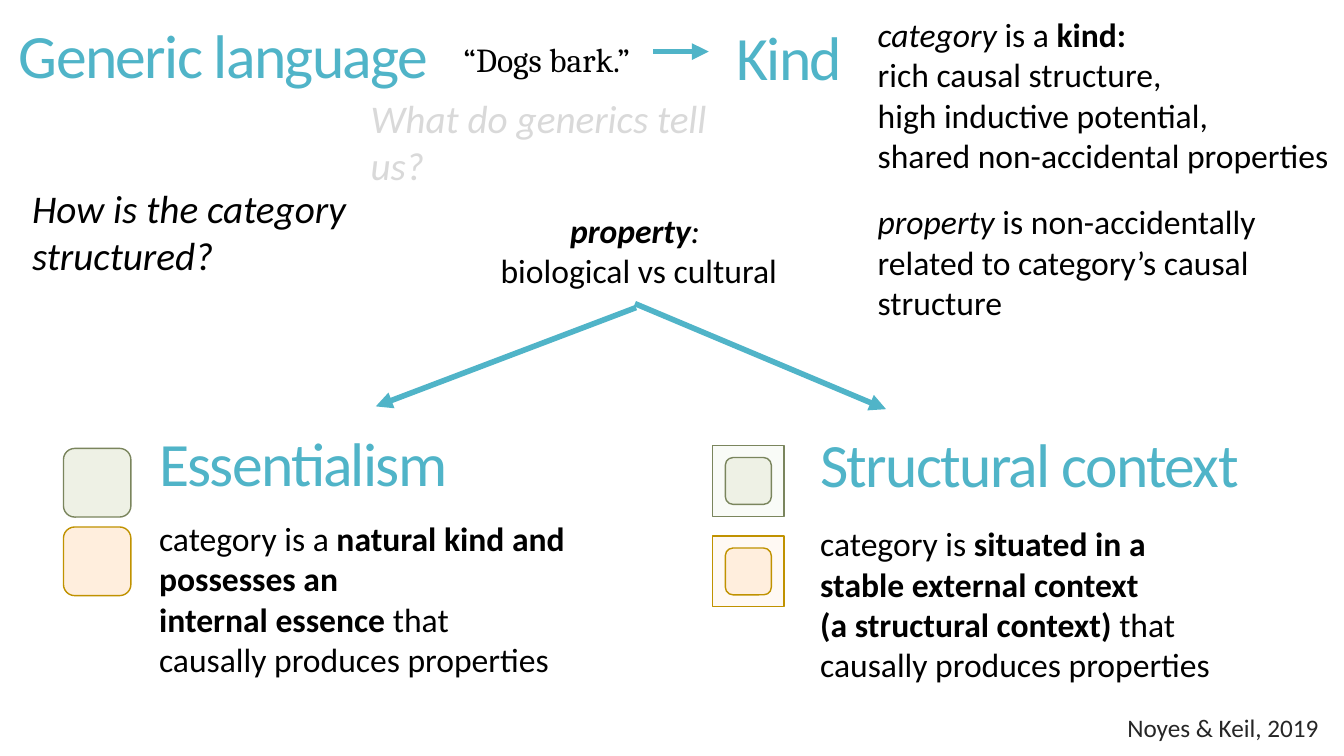
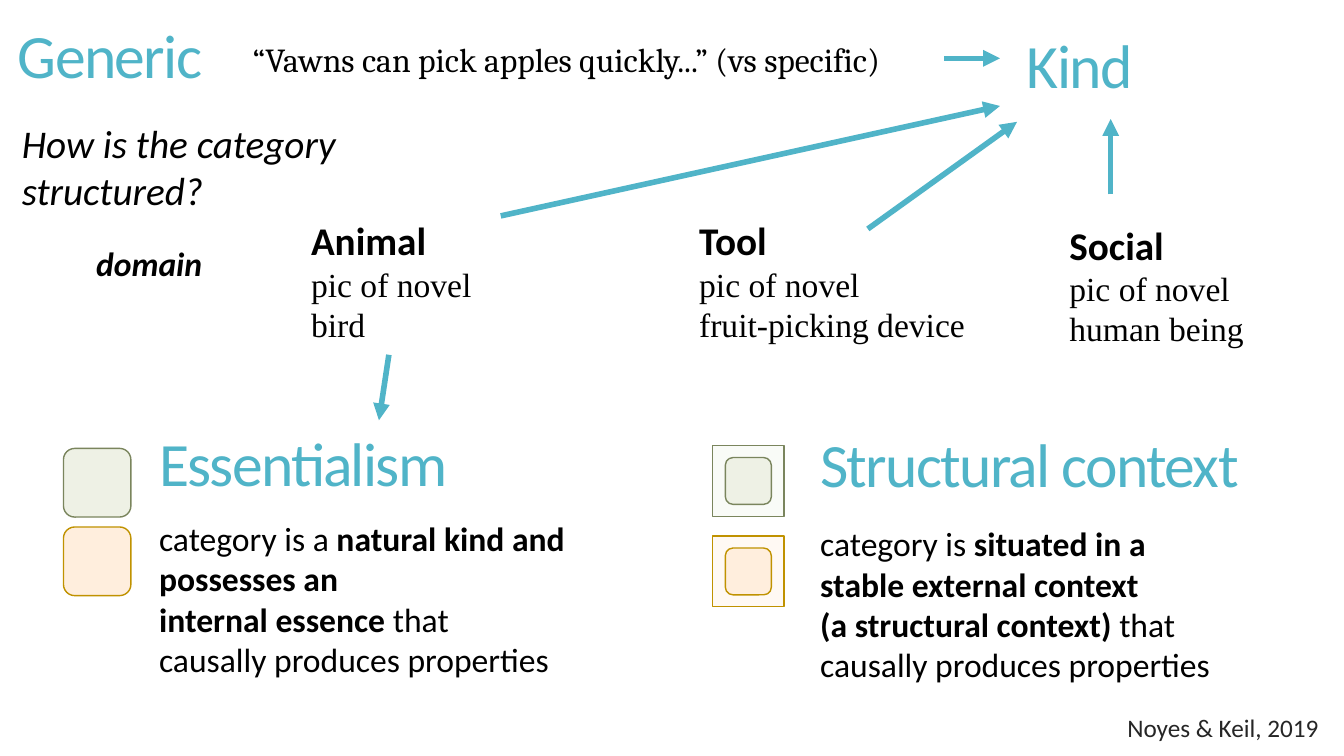
from lxml.etree import SubElement
from pptx import Presentation
from pptx.dml.color import RGBColor
from pptx.enum.shapes import MSO_CONNECTOR, MSO_SHAPE
from pptx.enum.text import MSO_ANCHOR, PP_ALIGN
from pptx.oxml.ns import qn
from pptx.util import Cm, Pt

COLORS = {
    "heading": "50B4C8", "text": "000000", "footer": "262626", "faded": "D9D9D9",
    "green": "EEF1E5", "green frame": "F9FBF7", "green line": "7A855D",
    "orange": "FFEEDD", "orange frame": "FFF9F3", "orange line": "C09200",
}

# Text styles: size in points, font, colour
STYLES = {
    "heading": (44, "Calibri", "heading"),
    "question": (28, "Calibri", "text"),
    "faded": (28, "Calibri", "faded"),
    "body": (24, "Calibri", "text"),
    "example": (24, "Cambria", "text"),
    "sketch": (24, "Times New Roman", "text"),
    "footer": (18, "Calibri", "footer"),
}

# A paragraph is (style, [(words, emphasis), ...]); emphasis is "b", "i" or both.
# A text is (left, top, width, height, paragraphs, alignment), in centimetres.
# A heading is (left, top, width, height, words, alignment).
QUESTION = [("question", [("How is the category structured?", "i")])]

SHARED = {
    "headings": [
        (3.76, 10.64, 8.99, 2.29, "Essentialism", "left"),
        (20.42, 10.67, 12.55, 2.26, "Structural context", "left"),
    ],
    "texts": [
        (3.76, 12.93, 10.95, 4.37, [("body", [
            ("category is a ", ""),
            ("natural kind and possesses an\ninternal essence ", "b"),
            ("that\ncausally produces properties", "")])], "left"),
        (20.42, 13.06, 10.95, 4.37, [("body", [
            ("category is ", ""),
            ("situated in a stable external context\n(a structural context)", "b"),
            (" that causally produces properties", "")])], "left"),
    ],
    "arrows": [],
}
FOOTER = (15.24, 17.93, 18.24, 1.09, [("footer", [("Noyes & Keil, 2019", "")])], "right")

# Colour, top of the single tile, top of the framed tile
TILES = [("green", 11.3, 11.23), ("orange", 13.28, 13.51)]
TILE_LEFT, TILE_SIZE = 1.6, (1.7, 1.73)
FRAME_LEFT, FRAME_SIZE = 17.96, (1.8, 1.78)
CORE_SIZE = (1.16, 1.18)

KIND_SLIDE = {
    "headings": [
        (0.2, -1.02, 10.87, 5.03, "Generic language", "center"),
        (18.31, 0.41, 4.7, 2.29, "Kind", "left"),
    ],
    "texts": [
        (11.43, 0.86, 4.95, 1.27, [("example", [("“Dogs bark.”", "")])], "left"),
        (9.09, 2.26, 10.08, 1.45, [("faded", [("What do generics tell us?", "i")])], "left"),
        (0.56, 4.52, 12.7, 1.45, QUESTION, "left"),
        (21.87, 0.23, 12.7, 4.37, [
            ("body", [("category", "i"), (" is a ", ""), ("kind:", "b")]),
            ("body", [("rich causal structure,\nhigh inductive potential,\n"
                       "shared non-accidental properties", "")])], "left"),
        (21.87, 4.95, 10.06, 3.33, [("body", [
            ("property ", "i"),
            ("is non-accidentally related to category’s causal structure", "")])], "left"),
        (11.07, 5.16, 10.06, 2.31, [
            ("body", [("property", "bi"), (": ", "i")]),
            ("body", [("biological vs cultural", "")])], "center"),
    ],
    "arrows": [
        (16.46, 1.3, 17.86, 1.3),
        (16, 7.65, 22.33, 10.31),
        (16.03, 7.75, 9.47, 10.24),
    ],
}


def domain(name, sketch):
    return [("question", [(name, "b")]), ("sketch", [(sketch, "")])]


DOMAIN_SLIDE = {
    "headings": [
        (0.2, -1.02, 10.87, 5.03, "Generic", "left"),
        (25.63, 0.61, 4.7, 2.29, "Kind", "left"),
    ],
    "texts": [
        (6.12, 0.86, 17.32, 1.27, [("example", [
            ("“Vawns can pick apples quickly...” (vs specific)", "")])], "left"),
        (0.3, 2.87, 12.7, 1.45, QUESTION, "left"),
        (-1.27, 5.99, 10.06, 1.27, [("body", [("domain", "bi")])], "center"),
        (7.59, 5.33, 5.16, 3.51, domain("Animal", "pic of novel bird"), "left"),
        (17.37, 5.33, 7.85, 3.51,
         domain("Tool", "pic of novel\nfruit-picking device"), "left"),
        (26.7, 5.44, 6.27, 3.51, domain("Social", "pic of novel human being"), "left"),
    ],
    "arrows": [
        (23.8, 1.47, 25.2, 1.47),
        (12.62, 5.44, 25.2, 2.67),
        (21.87, 5.77, 25.63, 3.07),
        (9.8, 8.94, 9.55, 10.59),
        (27.99, 4.9, 27.99, 3),
    ],
}

ALIGNMENTS = {"left": PP_ALIGN.LEFT, "center": PP_ALIGN.CENTER, "right": PP_ALIGN.RIGHT}


def color(name):
    return RGBColor.from_string(COLORS[name])


def add_words(para, words, style, emphasis):
    """Add styled runs, with a line break at each newline."""
    size, font, color_name = STYLES[style]
    for number, line in enumerate(words.split("\n")):
        if number:
            para.add_line_break()
        span = para.add_run()
        span.text = line
        span.font.size, span.font.name = Pt(size), font
        span.font.bold, span.font.italic = "b" in emphasis, "i" in emphasis
        span.font.color.rgb = color(color_name)


def add_text(page, left, top, width, height, paragraphs, alignment):
    box = page.shapes.add_textbox(Cm(left), Cm(top), Cm(width), Cm(height))
    frame = box.text_frame
    frame.word_wrap = True
    for number, (style, spans) in enumerate(paragraphs):
        para = frame.add_paragraph() if number else frame.paragraphs[0]
        para.alignment = ALIGNMENTS[alignment]
        if style in ("heading", "footer"):
            para.line_spacing = 0.85
        for words, emphasis in spans:
            add_words(para, words, style, emphasis)
    return frame


def add_heading(page, left, top, width, height, words, alignment):
    frame = add_text(page, left, top, width, height, [("heading", [(words, "")])], alignment)
    frame.vertical_anchor = MSO_ANCHOR.MIDDLE
    for span in frame.paragraphs[0].runs:
        span.font._element.set("spc", "-120")


def add_arrow(page, *ends):
    arrow = page.shapes.add_connector(MSO_CONNECTOR.STRAIGHT, *map(Cm, ends))
    arrow.line.color.rgb = color("heading")
    arrow.line.width = Pt(4)
    SubElement(arrow.line._get_or_add_ln(), qn("a:tailEnd"), type="triangle")
    SubElement(arrow._element.spPr, qn("a:effectLst"))


def add_tile(page, preset, left, top, size, fill, line):
    tile = page.shapes.add_shape(preset, Cm(left), Cm(top), *map(Cm, size))
    tile.shadow.inherit = False
    tile.fill.solid()
    tile.fill.fore_color.rgb = color(fill)
    tile.line.color.rgb = color(line)
    tile.line.width = Pt(1)


def add_tiles(page):
    """Draw single tiles on the left and tiles centred in a frame on the right."""
    inset_x, inset_y = [(outer - core) / 2 for outer, core in zip(FRAME_SIZE, CORE_SIZE)]
    for hue, single_top, frame_top in TILES:
        line = f"{hue} line"
        add_tile(page, MSO_SHAPE.ROUNDED_RECTANGLE, TILE_LEFT, single_top, TILE_SIZE, hue, line)
        add_tile(page, MSO_SHAPE.RECTANGLE, FRAME_LEFT, frame_top, FRAME_SIZE,
                 f"{hue} frame", line)
        add_tile(page, MSO_SHAPE.ROUNDED_RECTANGLE, FRAME_LEFT + inset_x,
                 frame_top + inset_y, CORE_SIZE, hue, line)


def add_page(deck, content):
    page = deck.slides.add_slide(deck.slide_layouts[6])
    add_tiles(page)
    for part in (SHARED, content):
        for heading in part["headings"]:
            add_heading(page, *heading)
        for text in part["texts"]:
            add_text(page, *text)
        for arrow in part["arrows"]:
            add_arrow(page, *arrow)
    add_text(page, *FOOTER)


def main():
    deck = Presentation()
    deck.slide_width, deck.slide_height = Cm(33.87), Cm(19.05)
    for content in (KIND_SLIDE, DOMAIN_SLIDE):
        add_page(deck, content)
    deck.save("out.pptx")


if __name__ == "__main__":
    main()
